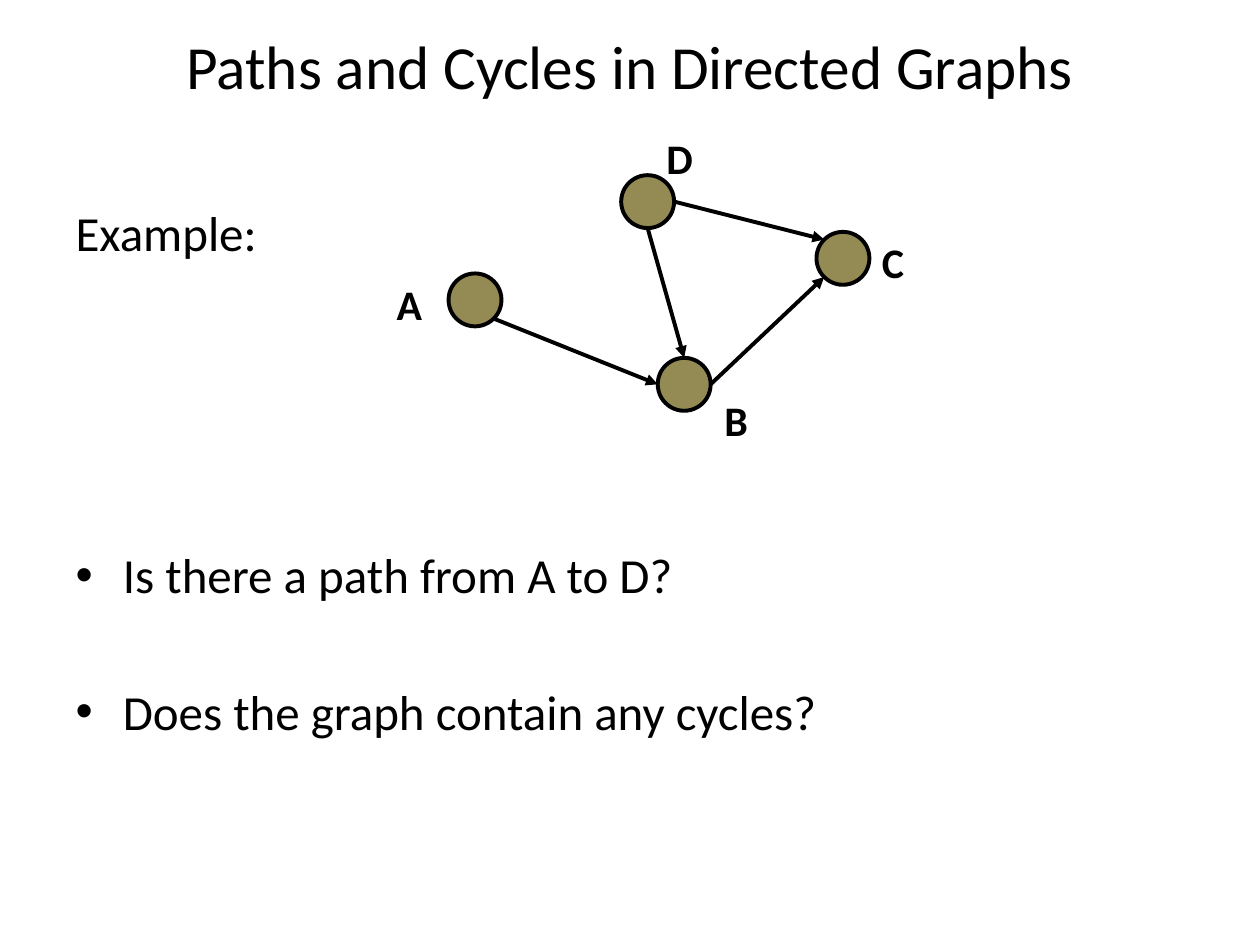
from math import cos, radians, sin

from lxml.etree import SubElement
from pptx import Presentation
from pptx.dml.color import RGBColor
from pptx.enum.shapes import MSO_CONNECTOR, MSO_SHAPE
from pptx.enum.text import MSO_ANCHOR, MSO_AUTO_SIZE, PP_ALIGN
from pptx.oxml.ns import qn
from pptx.util import Inches, Pt

TITLE = "Paths and Cycles in Directed Graphs"
INTRO = "Example:"
QUESTIONS = [
    ("Is there a path from A to D?", 161.8),
    ("Does the graph contain any cycles?", 44.2),
]
VERTICES = {
    "A": {"center": (3.77, 2.38), "label": (3.05, 2.16)},
    "B": {"center": (5.43, 3.05), "label": (5.65, 3.08)},
    "C": {"center": (6.69, 2.05), "label": (6.9, 1.83)},
    "D": {"center": (5.14, 1.6), "label": (5.19, 1.0)},
}
EDGES = [
    ("A", 45, "B", 180),
    ("B", 0, "C", 135),
    ("D", 0, "C", 225),
    ("D", 90, "B", 270),
]
RADIUS = 0.21
BLACK, OLIVE = "000000", "948A54"


def paint(color_format, color):
    """Set a colour from a hex string."""
    color_format.rgb = RGBColor.from_string(color)


def write(paragraph, text, size, bold=False):
    """Add one formatted run to a paragraph."""
    run = paragraph.add_run()
    run.text = text
    run.font.name = "Calibri"
    run.font.size = Pt(size)
    run.font.bold = bold
    paint(run.font.color, BLACK)


def place(placeholder, left, top, width, height):
    """Move a placeholder and return its text frame."""
    placeholder.left, placeholder.top = Inches(left), Inches(top)
    placeholder.width, placeholder.height = Inches(width), Inches(height)
    frame = placeholder.text_frame
    frame.auto_size = MSO_AUTO_SIZE.NONE
    return frame


def outline(line):
    """Give a line the graph's stroke."""
    paint_target = line.fill
    paint_target.solid()
    paint(paint_target.fore_color, BLACK)
    line.width = Pt(2.25)


def add_vertex(slide, letter, center, label):
    """Draw a vertex and its letter."""
    x, y = center
    circle = slide.shapes.add_shape(
        MSO_SHAPE.OVAL, Inches(x - RADIUS), Inches(y - RADIUS),
        Inches(2 * RADIUS), Inches(2 * RADIUS))
    circle.shadow.inherit = False
    circle.fill.solid()
    paint(circle.fill.fore_color, OLIVE)
    outline(circle.line)
    caption = slide.shapes.add_textbox(
        Inches(label[0]), Inches(label[1]), Inches(0.46), Inches(0.5))
    caption.text_frame.word_wrap = False
    caption.text_frame.auto_size = MSO_AUTO_SIZE.SHAPE_TO_FIT_TEXT
    write(caption.text_frame.paragraphs[0], letter, 24, bold=True)


def rim_point(letter, angle):
    """Return the point of a vertex's rim at a clockwise angle."""
    x, y = VERTICES[letter]["center"]
    turn = radians(angle)
    return Inches(x + RADIUS * cos(turn)), Inches(y + RADIUS * sin(turn))


def add_edge(slide, source, source_angle, target, target_angle):
    """Draw an arrow between two vertices."""
    edge = slide.shapes.add_connector(
        MSO_CONNECTOR.STRAIGHT,
        *rim_point(source, source_angle), *rim_point(target, target_angle))
    outline(edge.line)
    properties = edge._element.spPr
    SubElement(properties.find(qn("a:ln")), qn("a:tailEnd"), type="triangle")
    SubElement(properties, qn("a:effectLst"))


def main():
    """Build the slide and save it."""
    deck = Presentation()
    deck.slide_width, deck.slide_height = Inches(10), Inches(7.5)
    slide = deck.slides.add_slide(deck.slide_layouts[1])

    heading = place(slide.shapes.title, 0.5, 0.16, 9, 0.72)
    heading.vertical_anchor = MSO_ANCHOR.MIDDLE
    heading.paragraphs[0].alignment = PP_ALIGN.CENTER
    write(heading.paragraphs[0], TITLE, 35)

    body = place(slide.placeholders[1], 0.5, 1.56, 8.88, 5.14)
    intro = body.paragraphs[0]
    intro_properties = intro._p.get_or_add_pPr()
    intro_properties.set("marL", "0")
    intro_properties.set("indent", "0")
    SubElement(intro_properties, qn("a:buNone"))
    intro.space_before = Pt(0)
    write(intro, INTRO, 28)
    for text, gap in QUESTIONS:
        question = body.add_paragraph()
        question.space_before = Pt(gap)
        write(question, text, 28)

    for letter, spot in VERTICES.items():
        add_vertex(slide, letter, **spot)
    for edge in EDGES:
        add_edge(slide, *edge)
    deck.save("out.pptx")


if __name__ == "__main__":
    main()
